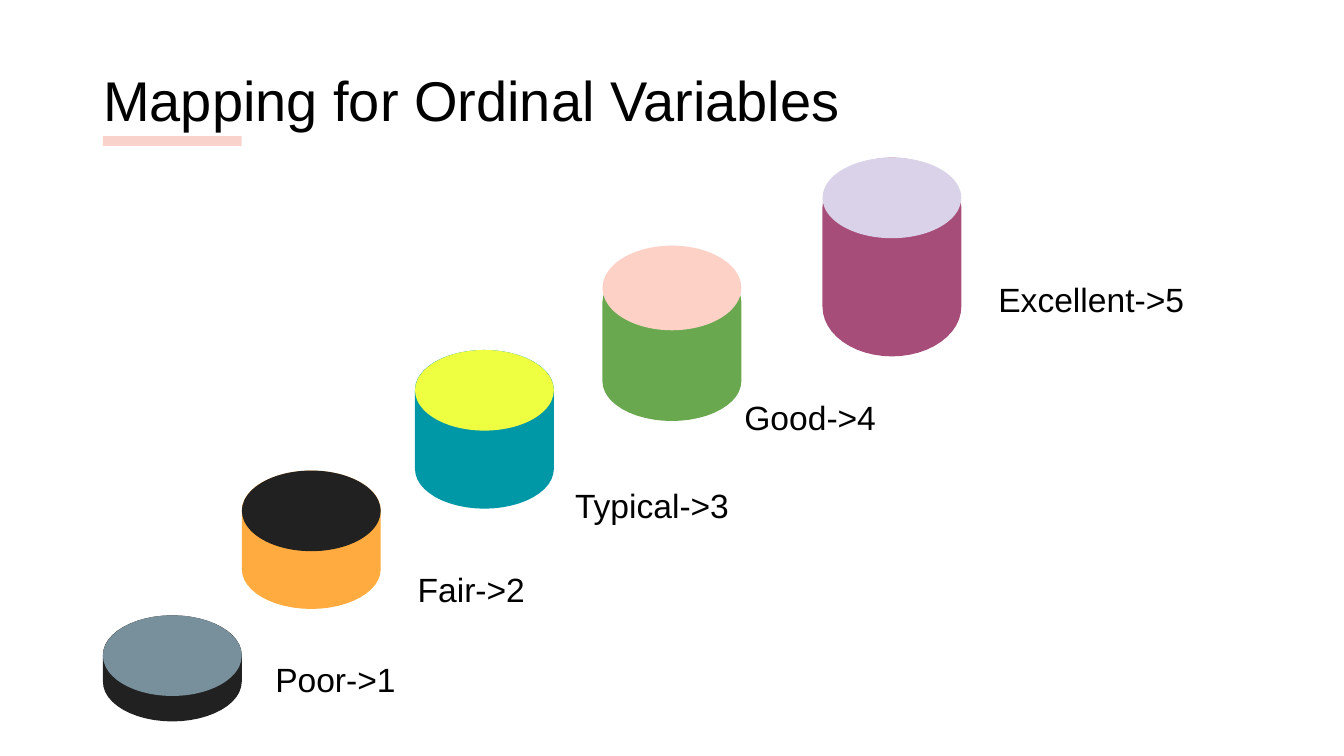
from collections import namedtuple
from math import cos, pi, sin

from lxml import etree
from pptx import Presentation
from pptx import util as u
from pptx.dml.color import RGBColor
from pptx.enum import shapes, text
from pptx.oxml import ns

WIDTH, HEIGHT = u.Inches(10), u.Inches(5.625)

BLACK = RGBColor(0x00, 0x00, 0x00)
CHARCOAL = RGBColor(0x21, 0x21, 0x21)
SLATE = RGBColor(0x78, 0x90, 0x9C)
ORANGE = RGBColor(0xFF, 0xAB, 0x40)
TEAL = RGBColor(0x00, 0x97, 0xA7)
YELLOW = RGBColor(0xEE, 0xFF, 0x41)
GREEN = RGBColor(0x6A, 0xA8, 0x4F)
PEACH = RGBColor(0xFE, 0xD1, 0xC7)
PLUM = RGBColor(0xA6, 0x4D, 0x79)
LILAC = RGBColor(0xD9, 0xD2, 0xE9)
SALMON = RGBColor(0xF4, 0xAA, 0x9E)

# All lengths below are percentages of the slide's width or height.
DRUM_WIDTH = 10.33
LID_HEIGHT = 10.67
MIN_RIM = 5.25
LABEL_HEIGHT = 7.47
ARC_STEPS = 24

Drum = namedtuple("Drum", "left top height side lid lid_top lid_height")
Label = namedtuple("Label", "words left top width")

DRUMS = [
    Drum(7.66, 81.4, 14.04, CHARCOAL, SLATE, 81.4, LID_HEIGHT),
    Drum(18, 62.25, 18.3, ORANGE, CHARCOAL, 62.25, LID_HEIGHT),
    Drum(30.88, 46.3, 21, TEAL, YELLOW, 46.3, LID_HEIGHT),
    Drum(44.83, 34.7, 21, GREEN, PEACH, 32.5, 11.2),
    Drum(61.2, 20.85, 26.3, PLUM, LILAC, 20.85, LID_HEIGHT),
]
LABELS = [
    Label("Poor->1", 19.5, 86.8, 17.7),
    Label("Fair->2", 30.1, 74.9, 17.3),
    Label("Typical->3", 41.8, 63.8, 18.1),
    Label("Good->4", 54.4, 52.1, 18.1),
    Label("Excellent->5", 73.3, 36.6, 18.1),
]


def across(share):
    return round(WIDTH * share / 100)


def down(share):
    return round(HEIGHT * share / 100)


def frame(left, top, width, height):
    return across(left), down(top), across(width), down(height)


def paint(shape, color):
    shape.shadow.inherit = False
    shape.fill.solid()
    shape.fill.fore_color.rgb = color
    shape.line.fill.background()


def set_opacity(shape, percent):
    color = shape.fill._xPr.find(".//" + ns.qn("a:srgbClr"))
    etree.SubElement(color, ns.qn("a:alpha"), val=str(percent * 1000))


def add_text(page, words, place, size=18, anchor=text.MSO_ANCHOR.BOTTOM):
    box = page.shapes.add_textbox(*frame(*place)).text_frame
    box.word_wrap = True
    box.vertical_anchor = anchor
    box.margin_left = box.margin_right = u.Inches(0.1)
    box.margin_top = box.margin_bottom = u.Inches(0.1)
    span = box.paragraphs[0].add_run()
    span.text = words
    span.font.name = "Arial"
    span.font.size = u.Pt(size)
    span.font.color.rgb = BLACK


def add_preset(page, kind, place, color):
    shape = page.shapes.add_shape(kind, *frame(*place))
    paint(shape, color)
    return shape


def add_side(page, drum):
    """Draw the body: an upper and a lower half ellipse joined by straight sides."""
    rim = max(MIN_RIM, drum.height / 4)
    radius = DRUM_WIDTH / 2
    upper = drum.top + rim
    lower = drum.top + drum.height - rim
    points = []
    for center, start in ((upper, pi), (lower, 0)):
        for step in range(ARC_STEPS + 1):
            angle = start + pi * step / ARC_STEPS
            points.append((across(drum.left + radius + radius * cos(angle)),
                           down(center + rim * sin(angle))))
    outline = page.shapes.build_freeform(*points[0])
    outline.add_line_segments(points[1:], close=True)
    paint(outline.convert_to_shape(), drum.side)


def add_drum(page, drum):
    add_side(page, drum)
    add_preset(page, shapes.MSO_SHAPE.OVAL,
               (drum.left, drum.lid_top, DRUM_WIDTH, drum.lid_height), drum.lid)


def main():
    deck = Presentation()
    deck.slide_width, deck.slide_height = WIDTH, HEIGHT
    page = deck.slides.add_slide(deck.slide_layouts[6])

    add_text(page, "Mapping for Ordinal Variables", (6.7, 6.95, 93.2, 11.2),
             size=30, anchor=text.MSO_ANCHOR.TOP)
    underline = add_preset(page, shapes.MSO_SHAPE.RECTANGLE,
                           (7.66, 18, DRUM_WIDTH, 1.3), SALMON)
    set_opacity(underline, 52)

    for drum in DRUMS:
        add_drum(page, drum)
    for label in LABELS:
        add_text(page, label.words,
                 (label.left, label.top, label.width, LABEL_HEIGHT))

    deck.save("out.pptx")


if __name__ == "__main__":
    main()
